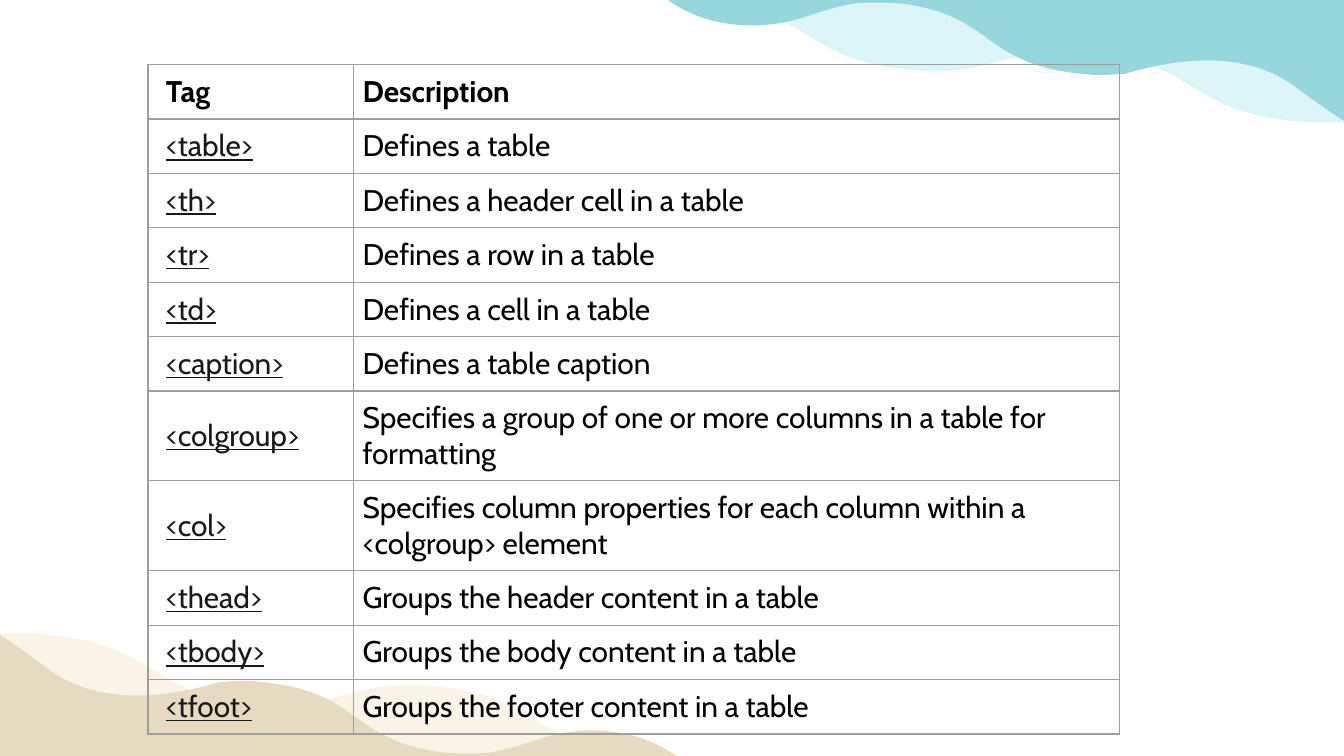
from lxml import etree
from pptx import Presentation
from pptx.dml.color import RGBColor
from pptx.enum.text import MSO_ANCHOR
from pptx.oxml.ns import qn
from pptx.util import Pt

MIDDLE = MSO_ANCHOR.MIDDLE
AQUA, PALE_AQUA = RGBColor(0x96, 0xD6, 0xDD), RGBColor(0xDB, 0xF5, 0xF8)
SAND, PALE_SAND = RGBColor(0xE6, 0xDA, 0xC1), RGBColor(0xFA, 0xF4, 0xE6)
BLACK, TAG_INK = RGBColor(0, 0, 0), RGBColor(0x19, 0x19, 0x19)
BORDER = RGBColor(0x9E, 0x9E, 0x9E)
FONT = "Cabin"

# Wave outlines: a pair is a straight segment, six numbers are a curve
PALE_WAVE = [
    (403.9, -64.8),
    (449.3, -56.9, 447.1, -36.7, 496.1, -30.2),
    (503.3, -28.8, 509.8, -28.8, 514.8, -28.8),
    (544.3, -28.8, 555.8, -39.6, 584.6, -39.6),
    (590.4, -39.6, 596.9, -39.6, 603.4, -38.9),
    (655.2, -31.7, 650.2, -9.4, 701.3, -2.9),
    (707, -2.2, 712.1, -2.2, 717.1, -2.2),
    (717.8, -2.2, 719.3, -2.2, 720, -2.2),
    (720, 65.5),
    (717.1, 65.5, 713.5, 65.5, 709.9, 65.5),
    (703.4, 65.5, 696.2, 65.5, 686.9, 64.1),
    (635.8, 56.9, 640.1, 35.3, 589, 28.1),
    (582.5, 27.4, 576, 27.4, 570.2, 27.4),
    (541.4, 27.4, 529.9, 38.2, 500.4, 38.2),
    (494.6, 38.2, 488.9, 37.4, 481.7, 36.7),
    (430.6, 30.2, 435.6, 7.9, 383.8, 1.4),
    (378.7, 0.7, 373, 0, 368.6, 0),
    (365.8, 0, 362.9, 0, 360, 0.7),
    (360, -64.8),
]
DEEP_WAVE = [
    (720, 0),
    (720, 64.8),
    (712.1, 59.8, 704.2, 54, 696.2, 48.2),
    (681.8, 36.7, 664.6, 32.4, 646.6, 32.4),
    (632.2, 32.4, 617, 35.3, 602.6, 39.6),
    (599, 39.6, 594.7, 40.3, 589.7, 40.3),
    (585.4, 40.3, 579.6, 39.6, 573.8, 38.9),
    (526.3, 32.4, 531.4, 8.6, 484.6, 2.2),
    (478.8, 1.4, 473.8, 1.4, 468.7, 1.4),
    (463.7, 1.4, 459.4, 1.4, 455.8, 2.2),
    (447.8, 3.6, 441.4, 5.8, 434.9, 7.9),
    (424.8, 11.5, 414, 13.7, 403.2, 13.7),
    (386.6, 13.7, 370.8, 9.4, 357.8, 0),
]
ROWS = [
    ("Tag", "Description"),
    ("<table>", "Defines a table"),
    ("<th>", "Defines a header cell in a table"),
    ("<tr>", "Defines a row in a table"),
    ("<td>", "Defines a cell in a table"),
    ("<caption>", "Defines a table caption"),
    ("<colgroup>", "Specifies a group of one or more columns in a table for formatting"),
    ("<col>", "Specifies column properties for each column within a <colgroup> element"),
    ("<thead>", "Groups the header content in a table"),
    ("<tbody>", "Groups the body content in a table"),
    ("<tfoot>", "Groups the footer content in a table"),
]


def add_wave(shapes, outline):
    """Build the outline from its end points, then bend its curved segments."""
    ends = [(Pt(seg[-2]), Pt(seg[-1])) for seg in outline]
    builder = shapes.build_freeform(*ends[0])
    builder.add_line_segments(ends[1:], close=True)
    sp = builder.convert_to_shape()
    lines = list(sp._element.iter(qn("a:lnTo")))
    for line, seg in zip(lines, outline[1:]):
        if len(seg) == 6:
            curve = etree.Element(qn("a:cubicBezTo"))
            for x, y in zip(seg[::2], seg[1::2]):
                etree.SubElement(curve, qn("a:pt"), x=str(Pt(x) - sp.left), y=str(Pt(y) - sp.top))
            line.getparent().replace(line, curve)
    return sp


def set_borders(cell):
    """Draw a thin line on all four sides of a cell."""
    tcPr = cell._tc.get_or_add_tcPr()
    for i, side in enumerate(("a:lnL", "a:lnR", "a:lnT", "a:lnB")):
        ln = etree.Element(qn(side), w=str(Pt(0.75)))
        fill = etree.SubElement(ln, qn("a:solidFill"))
        etree.SubElement(fill, qn("a:srgbClr"), val=str(BORDER))
        tcPr.insert(i, ln)


prs = Presentation()
prs.slide_width, prs.slide_height = Pt(720), Pt(405)
s = prs.slides.add_slide(prs.slide_layouts[6])

# Waves: top right, then turned half round into the bottom left
for outline, color, turned in (
    (PALE_WAVE, PALE_AQUA, False),
    (DEEP_WAVE, AQUA, False),
    (PALE_WAVE, PALE_SAND, True),
    (DEEP_WAVE, SAND, True),
):
    sp = add_wave(s.shapes, outline)
    sp.shadow.inherit = False
    sp.fill.solid()
    sp.fill.fore_color.rgb = color
    sp.line.fill.background()
    if turned:
        sp.left = prs.slide_width - sp.left - sp.width
        sp.top = prs.slide_height - sp.top - sp.height
        sp.rotation = 180

# Table of tags
row_height = 29.16
frame = s.shapes.add_table(len(ROWS), 2, Pt(79.3), Pt(34.6), Pt(520.6), Pt(row_height * len(ROWS)))
table = frame.table
table.first_row = table.horz_banding = False
table.columns[0].width, table.columns[1].width = Pt(110.2), Pt(410.4)
for i, texts in enumerate(ROWS):
    table.rows[i].height = Pt(row_height)
    for j, text in enumerate(texts):
        cell = table.cell(i, j)
        cell.fill.background()
        set_borders(cell)
        cell.vertical_anchor = MIDDLE
        cell.margin_left = Pt(4.76) if j else Pt(9.5)
        cell.margin_right = cell.margin_top = cell.margin_bottom = Pt(4.76)
        is_tag = i > 0 and j == 0
        r = cell.text_frame.paragraphs[0].add_run()
        r.text = text
        r.font.name = FONT
        r.font.size = Pt(16)
        r.font.bold = i == 0
        r.font.underline = is_tag
        r.font.color.rgb = TAG_INK if is_tag else BLACK

prs.save("out.pptx")
